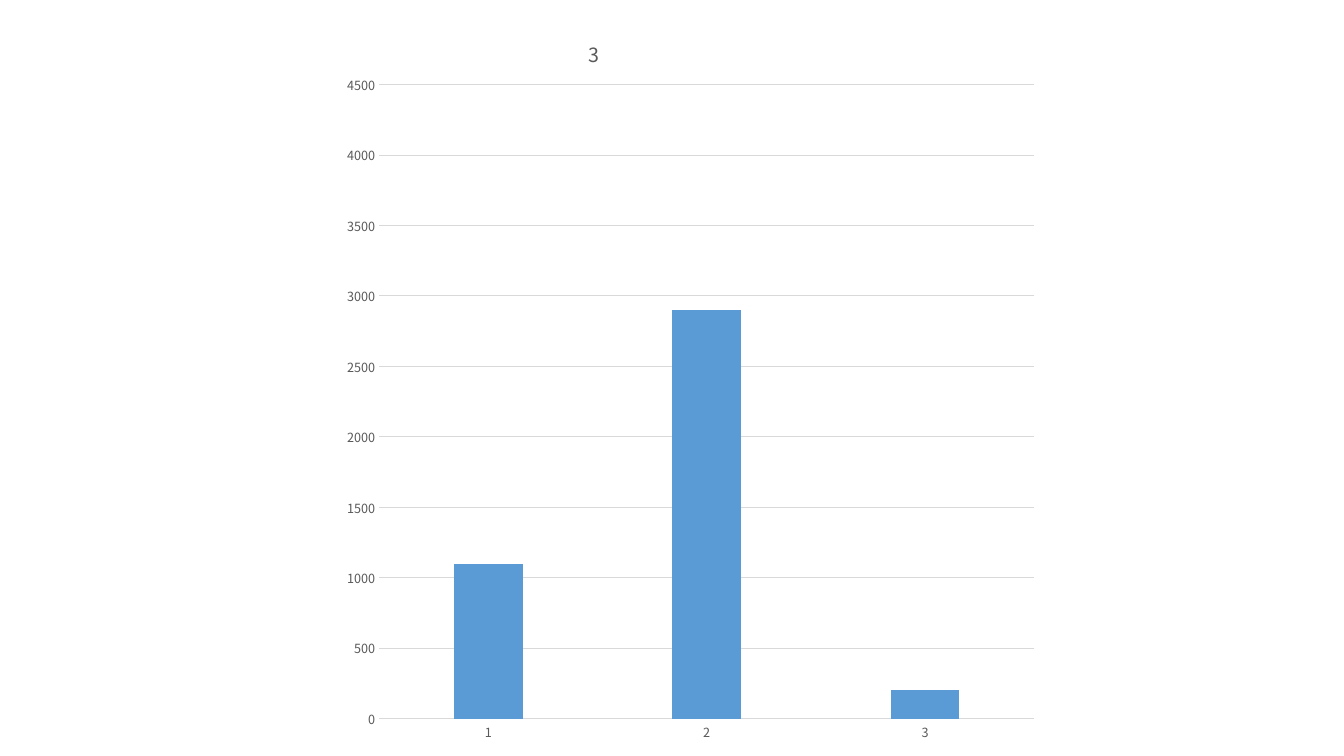
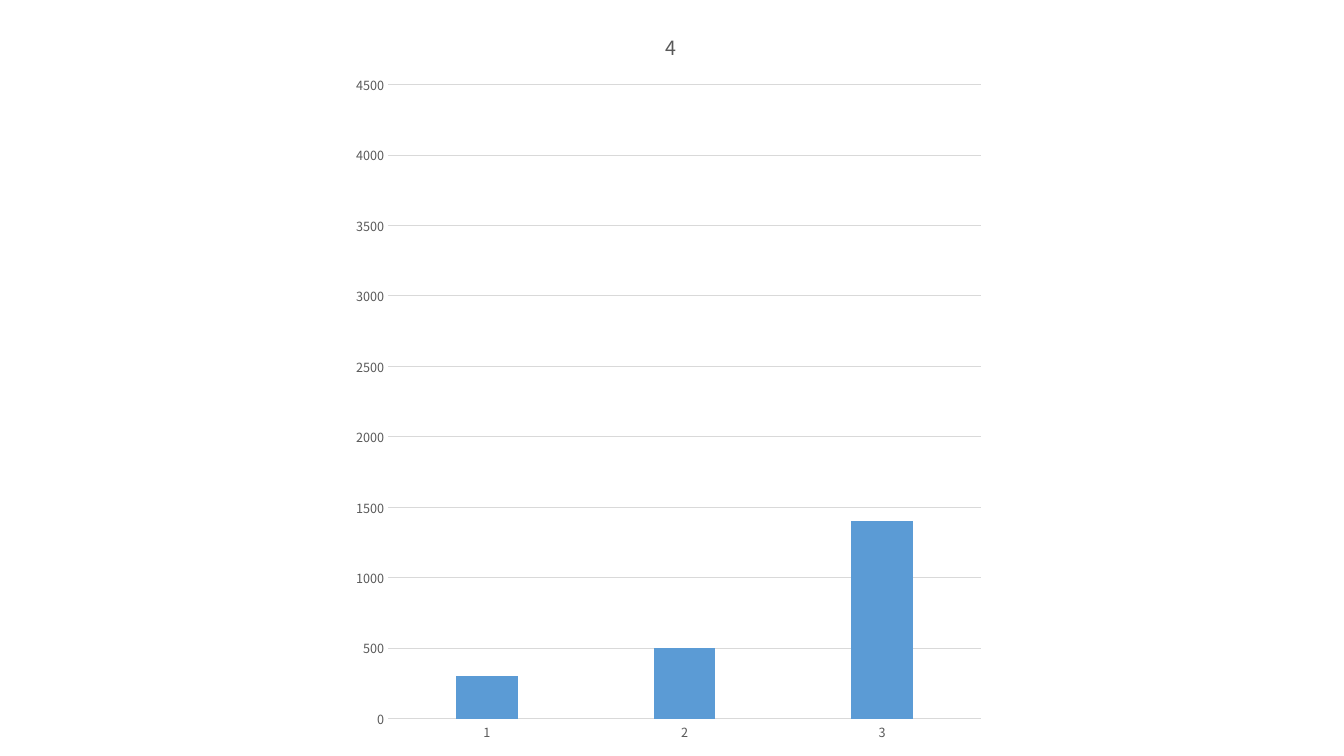
from lxml.etree import SubElement
from pptx import Presentation
from pptx.chart.data import CategoryChartData
from pptx.dml.color import RGBColor
from pptx.enum.chart import XL_CHART_TYPE, XL_TICK_MARK
from pptx.oxml.ns import qn
from pptx.util import Inches, Pt

FONT = "Noto Sans CJK JP"
GREY, RULE, BLUE = "595959", "D9D9D9", "5B9BD5"
HIGH = 7.5
TOP, BASE = 0.84, 7.13


def paint(color, value):
    """Set a colour format from a hex string."""
    color.rgb = RGBColor.from_string(value)


def style(font, size, value):
    """Set the face, size and colour of a font."""
    font.name = FONT
    font.size = Pt(size)
    font.bold = False
    paint(font.color, value)


def rule(line):
    """Give a line the thin pale look of the grid."""
    line.width = Pt(0.75)
    paint(line.color, RULE)


def place(owner, index, inner=False, **parts):
    """Lay out a chart part by fractions of the chart's size."""
    for old in owner.findall(qn("c:layout")):
        owner.remove(old)
    layout = SubElement(owner, qn("c:layout"))
    owner.insert(index, layout)
    manual = SubElement(layout, qn("c:manualLayout"))
    if inner:
        SubElement(manual, qn("c:layoutTarget"), val="inner")
    for name in ("x", "y"):
        SubElement(manual, qn(f"c:{name}Mode"), val="edge")
    for name, value in parts.items():
        SubElement(manual, qn(f"c:{name}"), val=f"{value:.4f}")


def set_title(chart, text, x, y):
    """Write the chart title at a fraction of the chart's size."""
    title = chart.chart_title
    run = title.text_frame.paragraphs[0].add_run()
    run.text = text
    style(run.font, 14, GREY)
    place(chart._chartSpace.chart.find(qn("c:title")), 1, x=x, y=y)


def set_axes(chart):
    """Format both axes and the grid."""
    for axis in (chart.category_axis, chart.value_axis):
        axis.major_tick_mark = axis.minor_tick_mark = XL_TICK_MARK.NONE
        style(axis.tick_labels.font, 9, GREY)
    rule(chart.category_axis.format.line)
    scale = chart.value_axis
    scale.minimum_scale, scale.maximum_scale = 0, 4500
    scale.major_unit = 500
    scale.format.line.fill.background()
    rule(scale.major_gridlines.format.line)


def set_plot(chart, x, w):
    """Format the columns and fix the plot area."""
    plot = chart.plots[0]
    plot.gap_width, plot.overlap = 219, -27
    plot.vary_by_categories = False
    fill = plot.series[0].format.fill
    fill.solid()
    paint(fill.fore_color, BLUE)
    place(chart._chartSpace.chart.plotArea, 0, True,
          x=x, y=TOP / HIGH, w=w, h=(BASE - TOP) / HIGH)


def add_columns(deck, text, values, frame, head, span):
    """Add a slide with one column chart."""
    slide = deck.slides.add_slide(deck.slide_layouts[6])
    data = CategoryChartData()
    data.categories = ["1", "2", "3"]
    data.add_series("Series 1", values)
    left, wide = frame
    chart = slide.shapes.add_chart(
        XL_CHART_TYPE.COLUMN_CLUSTERED, Inches(left), Inches(0),
        Inches(wide), Inches(HIGH), data).chart
    style(chart.font, 10, "000000")
    chart.has_legend = False
    set_title(chart, text, (head[0] - left) / wide, head[1] / HIGH)
    set_axes(chart)
    set_plot(chart, (span[0] - left) / wide, (span[1] - span[0]) / wide)


def main():
    """Build and save the deck."""
    deck = Presentation()
    deck.slide_width, deck.slide_height = Inches(13.33), Inches(HIGH)
    add_columns(deck, "3", [1100, 2900, 200],
                (3.3, 7.11), (5.8, 0.33), (3.76, 10.26))
    add_columns(deck, "4", [300, 500, 1400],
                (3.41, 6.46), (6.57, 0.26), (3.85, 9.73))
    deck.save("out.pptx")


main()
